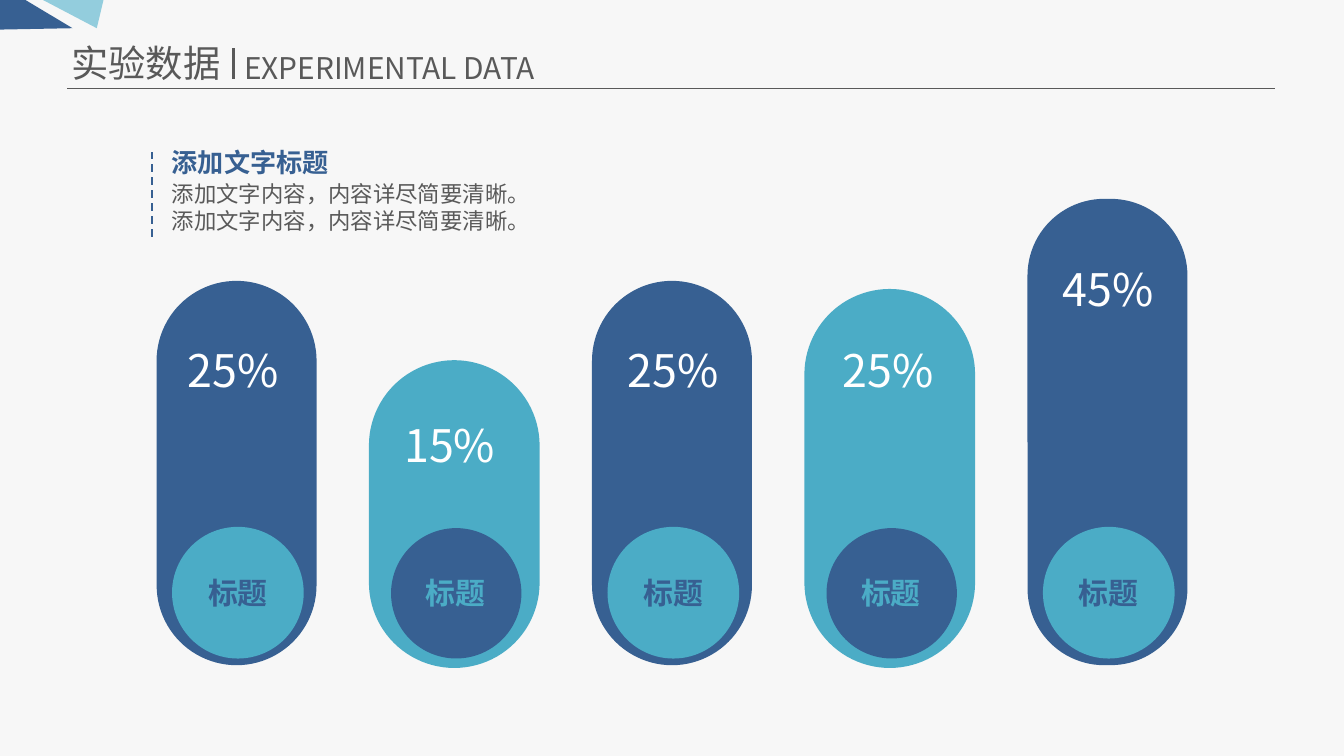
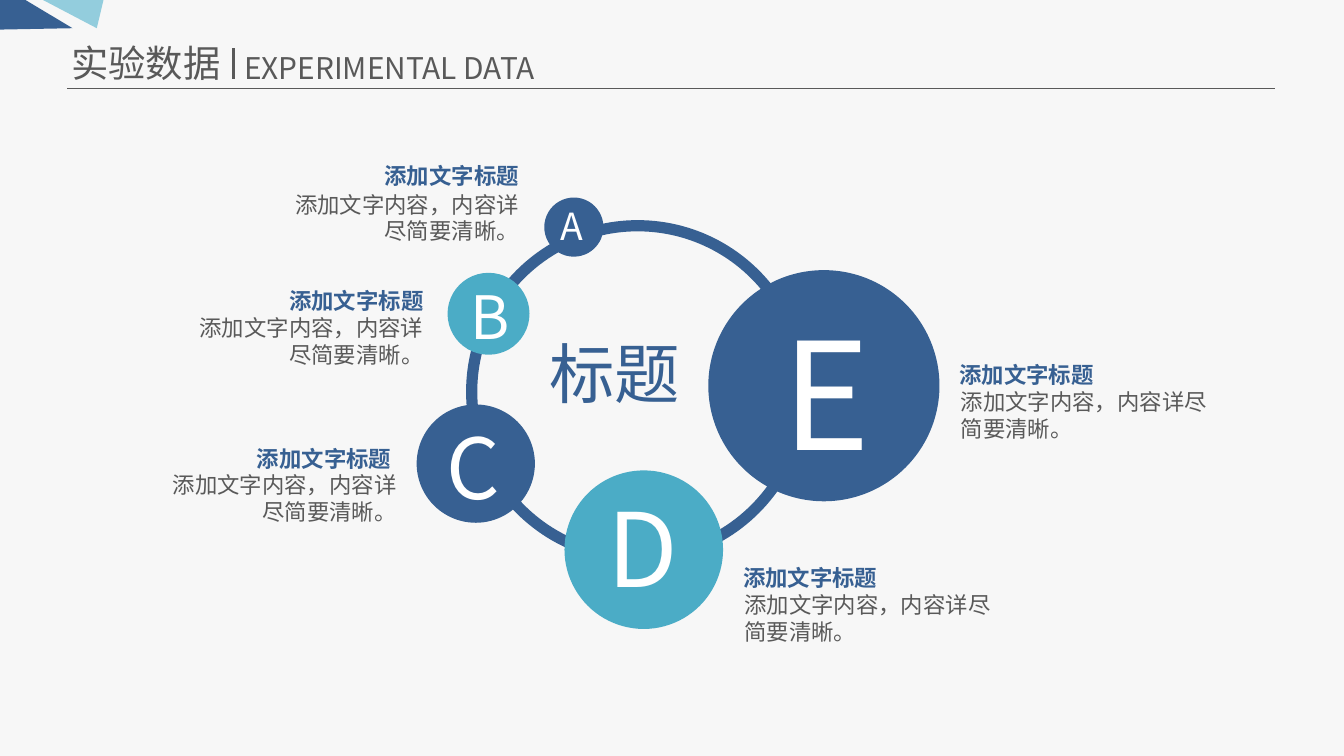
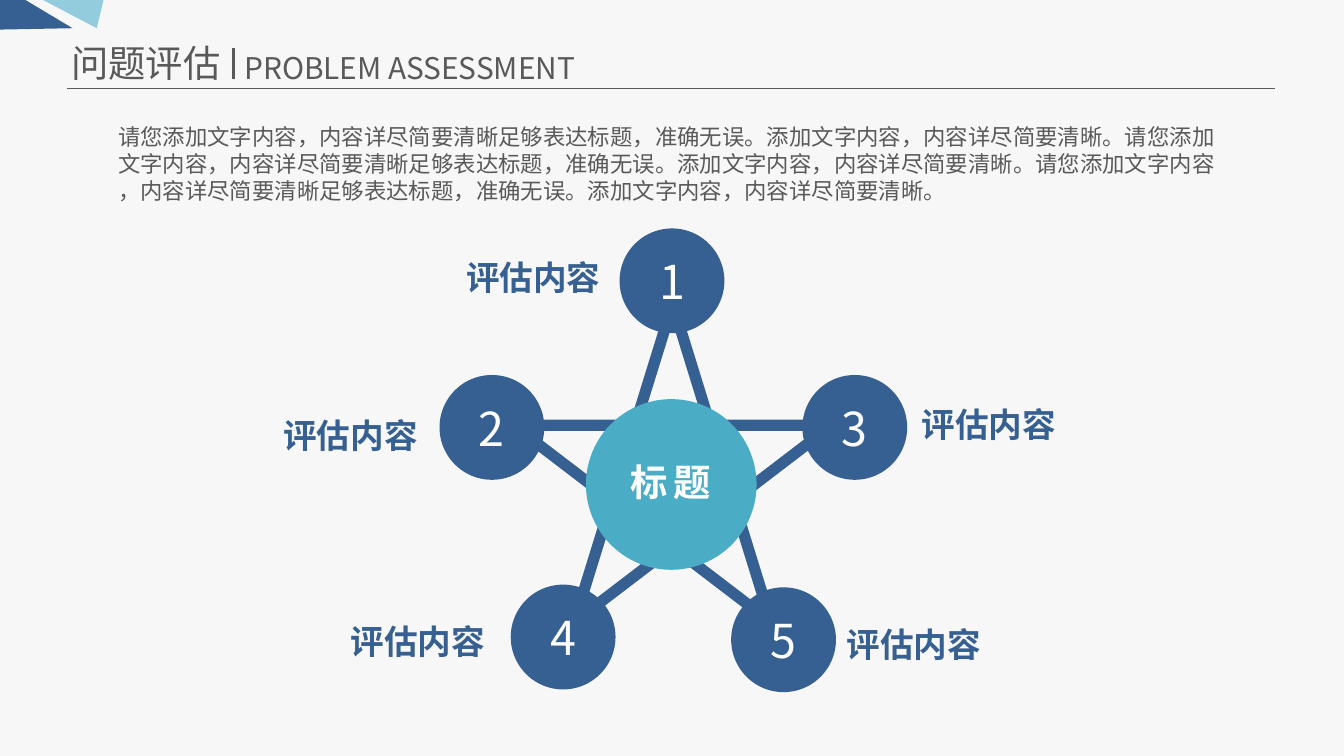
"""Build three data and assessment slides with a shared header."""

import dataclasses
import typing

import lxml.etree
import pptx
import pptx.dml.color
import pptx.enum.dml
import pptx.enum.shapes
import pptx.enum.text
import pptx.oxml.ns
import pptx.util

Inches = pptx.util.Inches
Pt = pptx.util.Pt
RGBColor = pptx.dml.color.RGBColor
Shape = pptx.enum.shapes.MSO_SHAPE
Align = pptx.enum.text.PP_ALIGN
Anchor = pptx.enum.text.MSO_ANCHOR

NAVY = RGBColor(0x37, 0x60, 0x92)
TEAL = RGBColor(0x4B, 0xAC, 0xC6)
SKY = RGBColor(0x93, 0xCD, 0xDD)
GRAY = RGBColor(0x59, 0x59, 0x59)
WHITE = RGBColor(0xFF, 0xFF, 0xFF)
PAPER = RGBColor(0xF7, 0xF7, 0xF7)
FONT = "Noto Sans CJK SC"

LABEL = "标题"
CAPTION_TITLE = "添加文字标题"
CAPTION_BODY = "添加文字内容，内容详尽简要清晰。"
ASSESSMENT = "评估内容"
SUMMARY = (
    "请您添加文字内容，内容详尽简要清晰足够表达标题，准确无误。添加文字内容，内容详尽简要清晰。请您添加",
    "文字内容，内容详尽简要清晰足够表达标题，准确无误。添加文字内容，内容详尽简要清晰。请您添加文字内容",
    "，内容详尽简要清晰足够表达标题，准确无误。添加文字内容，内容详尽简要清晰。",
)


@dataclasses.dataclass(frozen=True)
class Box:
    """A frame in inches."""

    left: float
    top: float
    width: float
    height: float

    def emu(self) -> list[int]:
        """Return the frame as lengths."""
        return [Inches(side) for side in (self.left, self.top, self.width, self.height)]


@dataclasses.dataclass(frozen=True)
class Pill:
    """A percentage column with its badge colour."""

    percent: str
    percent_left: float
    percent_top: float
    length: float
    bottom: float
    width: float = 1.19
    rounding: float = 0.5
    fill: RGBColor = NAVY
    badge: RGBColor = TEAL


@dataclasses.dataclass(frozen=True)
class Bubble:
    """A lettered circle on the ring with its caption."""

    letter: str
    size: int
    circle: Box
    letter_box: Box
    fill: RGBColor
    title_left: float
    title_top: float
    body_left: float
    body_top: float
    body_width: float
    align: Align


@dataclasses.dataclass(frozen=True)
class StarPoint:
    """A numbered circle with the place of its label."""

    number: str
    left: float
    top: float
    label_left: float
    label_top: float


PILLS = (
    Pill("25%", 1.3, 2.5, 2.86, 4.95),
    Pill("15%", 2.91, 3.06, 2.29, 4.97, 1.27, fill=TEAL, badge=NAVY),
    Pill("25%", 4.57, 2.5, 2.86, 4.95),
    Pill("25%", 6.17, 2.5, 2.82, 4.97, 1.27, fill=TEAL, badge=NAVY),
    Pill("45%", 7.81, 1.9, 3.47, 4.95, rounding=0.48),
)
BUBBLES = (
    Bubble("C", 45, Box(3.1, 3.01, 0.88, 0.88), Box(3.22, 3.04, 0.62, 0.86),
           NAVY, 1.8, 3.26, 1.11, 3.46, 1.94, Align.RIGHT),
    Bubble("D", 55, Box(4.2, 3.5, 1.18, 1.18), Box(4.42, 3.56, 0.79, 1.03),
           TEAL, 5.43, 4.15, 5.44, 4.35, 2.16, Align.LEFT),
    Bubble("B", 32, Box(3.33, 2.03, 0.61, 0.61), Box(3.4, 2.03, 0.48, 0.64),
           TEAL, 2.04, 2.09, 1.31, 2.29, 1.94, Align.RIGHT),
    Bubble("A", 20, Box(4.05, 1.47, 0.44, 0.44), Box(4.07, 1.46, 0.37, 0.44),
           NAVY, 2.75, 1.16, 2.02, 1.37, 1.94, Align.RIGHT),
    Bubble("E", 80, Box(5.27, 2.01, 1.72, 1.72), Box(5.72, 2.19, 0.82, 1.45),
           NAVY, 7.04, 2.64, 7.05, 2.84, 2.14, Align.LEFT),
)
STAR_POINTS = (
    StarPoint("1", 4.61, 1.7, 3.37, 1.86),
    StarPoint("2", 3.27, 2.79, 2.01, 3.04),
    StarPoint("3", 5.97, 2.79, 6.76, 2.96),
    StarPoint("4", 3.8, 4.35, 2.51, 4.57),
    StarPoint("5", 5.44, 4.37, 6.2, 4.59),
)


def write_text(frame, *lines: str, size: int, color: RGBColor, bold: bool = False,
               align: Align = Align.LEFT, anchor: Anchor = Anchor.TOP,
               wrap: bool = False, tracking: int = 0) -> None:
    """Fill a text frame with one formatted paragraph per line."""
    frame.word_wrap = wrap
    frame.vertical_anchor = anchor
    for index, line in enumerate(lines):
        paragraph = frame.add_paragraph() if index else frame.paragraphs[0]
        paragraph.alignment = align
        run = paragraph.add_run()
        run.text = line
        run.font.size = Pt(size)
        run.font.bold = bold
        run.font.color.rgb = color
        run.font.name = FONT
        properties = run.font._element
        east_asian = lxml.etree.SubElement(properties, pptx.oxml.ns.qn("a:ea"))
        east_asian.set("typeface", FONT)
        if tracking:
            properties.set("spc", str(tracking * 100))


def add_text(slide, box: Box, *lines: str, **style: typing.Any) -> None:
    """Add a text box that grows with its text."""
    frame = slide.shapes.add_textbox(*box.emu()).text_frame
    write_text(frame, *lines, **style)
    frame.auto_size = pptx.enum.text.MSO_AUTO_SIZE.SHAPE_TO_FIT_TEXT


def paint(shape, fill: RGBColor) -> None:
    """Give a shape a flat fill without outline or shadow."""
    shape.shadow.inherit = False
    shape.fill.solid()
    shape.fill.fore_color.rgb = fill
    shape.line.fill.background()


def add_filled(slide, kind: Shape, box: Box, fill: RGBColor):
    """Add a flat preset shape."""
    shape = slide.shapes.add_shape(kind, *box.emu())
    paint(shape, fill)
    return shape


def add_outline(slide, kind: Shape, box: Box) -> None:
    """Add an unfilled preset shape with a thick outline."""
    shape = slide.shapes.add_shape(kind, *box.emu())
    shape.shadow.inherit = False
    shape.fill.background()
    shape.line.color.rgb = NAVY
    shape.line.width = Pt(6)


def add_disc(slide, box: Box, fill: RGBColor, text: str, **style: typing.Any) -> None:
    """Add a circle with centred text."""
    disc = add_filled(slide, Shape.OVAL, box, fill)
    write_text(disc.text_frame, text, align=Align.CENTER, anchor=Anchor.MIDDLE,
               wrap=True, **style)


def add_line(slide, start: tuple[float, float], end: tuple[float, float],
             color: RGBColor, weight: float, dashed: bool = False) -> None:
    """Add a straight line."""
    line = slide.shapes.add_connector(
        pptx.enum.shapes.MSO_CONNECTOR.STRAIGHT,
        *(Inches(value) for value in (*start, *end)))
    line.line.color.rgb = color
    line.line.width = Pt(weight)
    if dashed:
        line.line.dash_style = pptx.enum.dml.MSO_LINE.DASH
    lxml.etree.SubElement(line._element.spPr, pptx.oxml.ns.qn("a:effectLst"))


def add_corner(slide, fill: RGBColor, *points: tuple[float, float]) -> None:
    """Add a closed polygon for the corner decoration."""
    start, *rest = [(Inches(x), Inches(y)) for x, y in points]
    builder = slide.shapes.build_freeform(*start)
    builder.add_line_segments(rest, close=True)
    paint(builder.convert_to_shape(), fill)


def add_slide(deck, title: str, subtitle: str, subtitle_width: float):
    """Add a slide with the corner decoration and header."""
    slide = deck.slides.add_slide(deck.slide_layouts.get_by_name("Title Only"))
    add_line(slide, (0.5, 0.66), (9.49, 0.66), GRAY, 0.75)
    add_corner(slide, SKY, (0.32, 0), (0.72, 0.21), (0.77, 0))
    add_corner(slide, NAVY, (0.54, 0.21), (0.19, 0), (0, 0), (0, 0.22))
    heading = slide.shapes.title
    heading.left, heading.top, heading.width, heading.height = Box(0.43, 0.25, 1.32, 0.44).emu()
    write_text(heading.text_frame, title, size=20, color=GRAY)
    heading.text_frame.auto_size = pptx.enum.text.MSO_AUTO_SIZE.NONE
    add_text(slide, Box(1.72, 0.32, subtitle_width, 0.37), subtitle, size=16, color=GRAY)
    add_line(slide, (1.74, 0.36), (1.74, 0.59), GRAY, 1.5)
    return slide


def add_pill(slide, pill: Pill, center: float) -> None:
    """Draw a column, its badge and its percentage."""
    middle = pill.bottom - pill.length / 2
    column = add_filled(
        slide, Shape.ROUNDED_RECTANGLE,
        Box(center - pill.length / 2, middle - pill.width / 2, pill.length, pill.width),
        pill.fill)
    column.rotation = 90
    column.adjustments[0] = pill.rounding
    badge_left = center + 0.01
    diameter = 0.98
    if pill.badge == NAVY:
        diameter = 0.93
        rim = add_filled(slide, Shape.DONUT, Box(badge_left - 0.48, 3.93, 0.97, 0.97), NAVY)
        rim.adjustments[0] = 0.05
    add_disc(slide, Box(badge_left - diameter / 2, 4.41 - diameter / 2, diameter, diameter),
             pill.badge, LABEL, size=16, color=pill.fill, bold=True)
    add_text(slide, Box(pill.percent_left, pill.percent_top, 0.9, 0.5), pill.percent,
             size=24, color=WHITE)


def build_columns(deck) -> None:
    """Build the slide of percentage columns."""
    slide = add_slide(deck, "实验数据", "EXPERIMENTAL DATA", 2.49)
    for index, pill in enumerate(PILLS):
        add_pill(slide, pill, 1.76 + 1.62 * index)
    add_text(slide, Box(1.18, 1.04, 1.38, 0.34), CAPTION_TITLE, size=14, color=NAVY, bold=True)
    add_text(slide, Box(1.18, 1.29, 2.89, 0.5), CAPTION_BODY, CAPTION_BODY, size=12, color=GRAY)
    add_line(slide, (1.13, 1.76), (1.13, 1.13), NAVY, 1, dashed=True)


def build_ring(deck) -> None:
    """Build the slide of lettered circles on a ring."""
    slide = add_slide(deck, "实验数据", "EXPERIMENTAL DATA", 2.49)
    add_outline(slide, Shape.OVAL, Box(3.51, 1.68, 2.47, 2.47))
    for bubble in BUBBLES:
        add_filled(slide, Shape.OVAL, bubble.circle, bubble.fill)
        add_text(slide, bubble.letter_box, bubble.letter, size=bubble.size, color=WHITE)
        add_text(slide, Box(bubble.title_left, bubble.title_top, 1.21, 0.3), CAPTION_TITLE,
                 size=12, color=NAVY, bold=True, align=bubble.align)
        add_text(slide, Box(bubble.body_left, bubble.body_top, bubble.body_width, 0.5),
                 CAPTION_BODY, size=12, color=GRAY, align=bubble.align, wrap=True)
    add_text(slide, Box(3.87, 2.43, 1.41, 0.69), LABEL, size=35, color=NAVY,
             align=Align.CENTER, wrap=True)


def build_star(deck) -> None:
    """Build the slide of numbered circles on a star."""
    slide = add_slide(deck, "问题评估", "PROBLEM ASSESSMENT", 2.78)
    add_text(slide, Box(0.78, 0.87, 8.45, 0.71), *SUMMARY, size=12, color=GRAY)
    add_outline(slide, Shape.STAR_5_POINT, Box(3.82, 2.26, 2.37, 2.37))
    add_filled(slide, Shape.OVAL, Box(4.36, 2.97, 1.27, 1.27), TEAL)
    add_text(slide, Box(4.59, 3.37, 0.85, 0.44), LABEL, size=20, color=WHITE,
             bold=True, tracking=3)
    for point in STAR_POINTS:
        add_disc(slide, Box(point.left, point.top, 0.78, 0.78), NAVY, point.number,
                 size=25, color=WHITE)
        add_text(slide, Box(point.label_left, point.label_top, 1.21, 0.4), ASSESSMENT,
                 size=18, color=NAVY, bold=True)


def main() -> None:
    """Build and save the deck."""
    deck = pptx.Presentation()
    deck.slide_width = Inches(10)
    deck.slide_height = Inches(10) * 9 // 16
    background = deck.slide_master.background.fill
    background.solid()
    background.fore_color.rgb = PAPER
    build_columns(deck)
    build_ring(deck)
    build_star(deck)
    deck.save("out.pptx")


if __name__ == "__main__":
    main()
